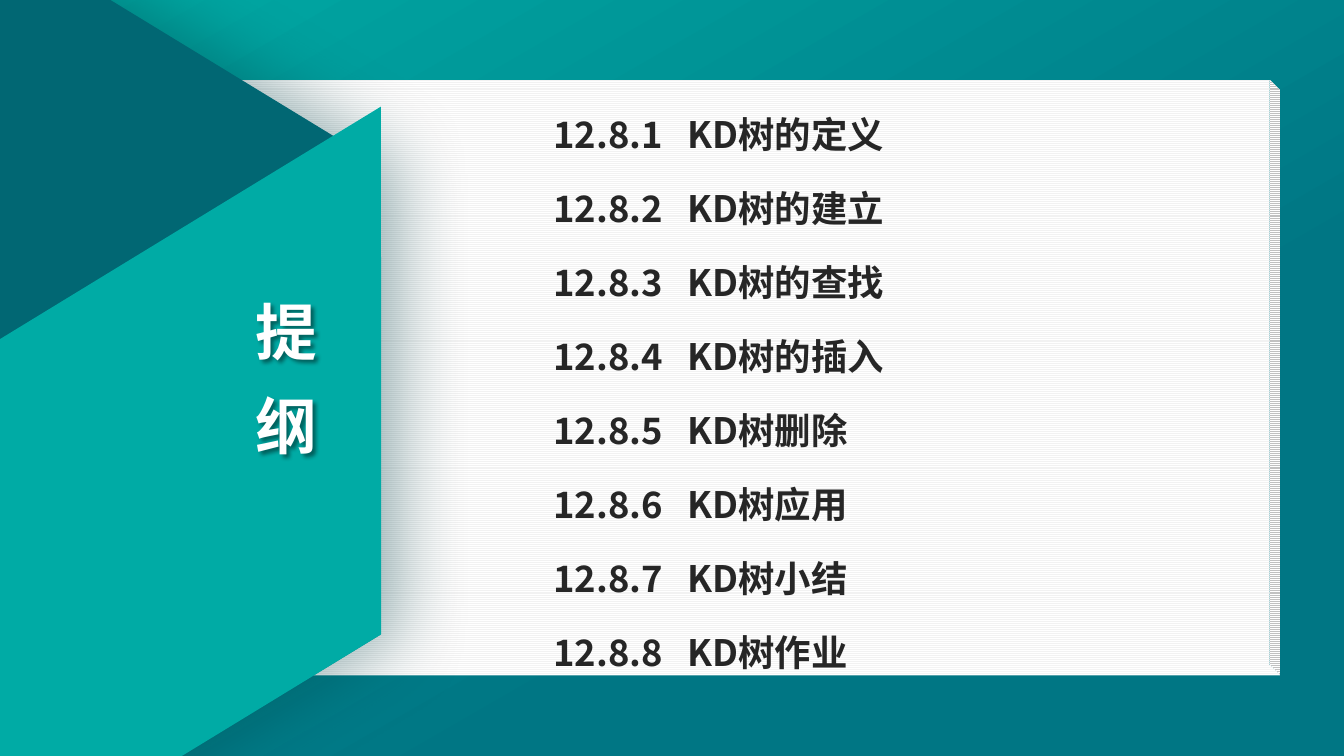
from dataclasses import dataclass

from lxml.etree import SubElement
from pptx import Presentation
from pptx.dml.color import RGBColor
from pptx.dml.fill import FillFormat
from pptx.enum.dml import MSO_PATTERN
from pptx.enum.shapes import MSO_SHAPE
from pptx.enum.text import PP_ALIGN
from pptx.oxml.ns import qn
from pptx.shapes.autoshape import Shape
from pptx.slide import Slide
from pptx.util import Inches, Pt

FONT = "Noto Sans CJK SC"
TOPICS = ["KD树的定义", "KD树的建立", "KD树的查找", "KD树的插入",
          "KD树删除", "KD树应用", "KD树小结", "KD树作业"]


@dataclass
class Panel:
    preset: MSO_SHAPE
    box: tuple[float, float, float, float]
    adjustments: list[float]
    rotation: float = 0


@dataclass
class Shadow:
    color: str
    alpha: int
    blur: float
    distance: float
    angle: int


@dataclass
class TextStyle:
    size: float
    color: str
    line_spacing: float | Pt
    space_before: float = 0
    align: PP_ALIGN = PP_ALIGN.LEFT
    tab: float | None = None


def rgb(color: str) -> RGBColor:
    return RGBColor.from_string(color)


def set_gradient(fill: FillFormat, stops: list[tuple[str, float]], clockwise: int) -> None:
    fill.gradient()
    fill.gradient_angle = 360 - clockwise
    for stop, (color, position) in zip(fill.gradient_stops, stops):
        stop.color.rgb = rgb(color)
        stop.position = position


def add_shadow(shape: Shape, shadow: Shadow) -> None:
    shape.shadow.inherit = False
    effects = shape._element.spPr.find(qn("a:effectLst"))
    outer = SubElement(effects, qn("a:outerShdw"), {
        "blurRad": str(Pt(shadow.blur)), "dist": str(Pt(shadow.distance)),
        "dir": str(shadow.angle * 60000), "algn": "l", "rotWithShape": "0"})
    color = SubElement(outer, qn("a:srgbClr"), val=shadow.color)
    SubElement(color, qn("a:alpha"), val=str(shadow.alpha * 1000))


def add_panel(slide: Slide, panel: Panel) -> Shape:
    shape = slide.shapes.add_shape(panel.preset, *map(Inches, panel.box))
    for index, value in enumerate(panel.adjustments):
        shape.adjustments[index] = value
    shape.rotation = panel.rotation
    shape.shadow.inherit = False
    shape.line.fill.background()
    return shape


def add_lines(slide: Slide, box: tuple[float, float, float, float],
              lines: list[str], style: TextStyle) -> Shape:
    text_box = slide.shapes.add_textbox(*map(Inches, box))
    frame = text_box.text_frame
    frame.word_wrap = True
    frame.margin_left = frame.margin_right = Inches(0.1)
    frame.margin_top = frame.margin_bottom = 0
    frame.text = "\n".join(lines)
    for paragraph in frame.paragraphs:
        paragraph.alignment = style.align
        paragraph.line_spacing = style.line_spacing
        paragraph.space_before = Pt(style.space_before)
        font = paragraph.font
        font.size = Pt(style.size)
        font.bold = True
        font.color.rgb = rgb(style.color)
        font.name = FONT
        properties = paragraph._p.pPr
        defaults = properties.find(qn("a:defRPr"))
        SubElement(defaults, qn("a:ea"), typeface=FONT)
        if style.tab:
            tabs = SubElement(properties, qn("a:tabLst"))
            SubElement(tabs, qn("a:tab"), pos=str(Inches(style.tab)), algn="l")
            defaults.addprevious(tabs)
    return text_box


def main() -> None:
    deck = Presentation()
    deck.slide_width, deck.slide_height = Inches(13.33), Inches(7.5)
    slide = deck.slides.add_slide(deck.slide_layouts[6])
    set_gradient(slide.background.fill, [("00ABA5", 0), ("007684", 0.67)], 60)

    page = add_panel(slide, Panel(MSO_SHAPE.CUBE, (0, 0.79, 12.7, 5.91), [0.018]))
    page._element.spPr.find(qn("a:xfrm")).set("flipV", "1")
    page.fill.patterned()
    page.fill.pattern = MSO_PATTERN.LIGHT_HORIZONTAL
    page.fill.fore_color.rgb = rgb("F2F2F2")
    page.fill.back_color.rgb = rgb("FFFFFF")

    hexagon = add_panel(slide, Panel(
        MSO_SHAPE.HEXAGON, (-6.21, -0.79, 10.46, 9.51), [0.305, 1.155], 90))
    set_gradient(hexagon.fill, [("016773", 0.77), ("007684", 1)], 90)
    add_shadow(hexagon, Shadow("013F45", 40, 55, 13, 0))

    band = add_panel(slide, Panel(
        MSO_SHAPE.PARALLELOGRAM, (-2.74, 2.89, 8.29, 4.47), [0.61], 328.6))
    band.fill.solid()
    band.fill.fore_color.rgb = rgb("00ABA5")

    heading = add_lines(slide, (2.34, 2.72, 1, 1.86), ["提", "纲"], TextStyle(
        44, "FFFFFF", Pt(67), align=PP_ALIGN.CENTER))
    heading.fill.background()
    add_shadow(heading, Shadow("000000", 43, 3, 3, 45))

    add_lines(slide, (5.39, 0.9, 5.91, 5.74),
              [f"12.8.{number}\t{topic}" for number, topic in enumerate(TOPICS, 1)],
              TextStyle(26, "262626", 1.5, space_before=6, tab=1.33))
    deck.save("out.pptx")


if __name__ == "__main__":
    main()
